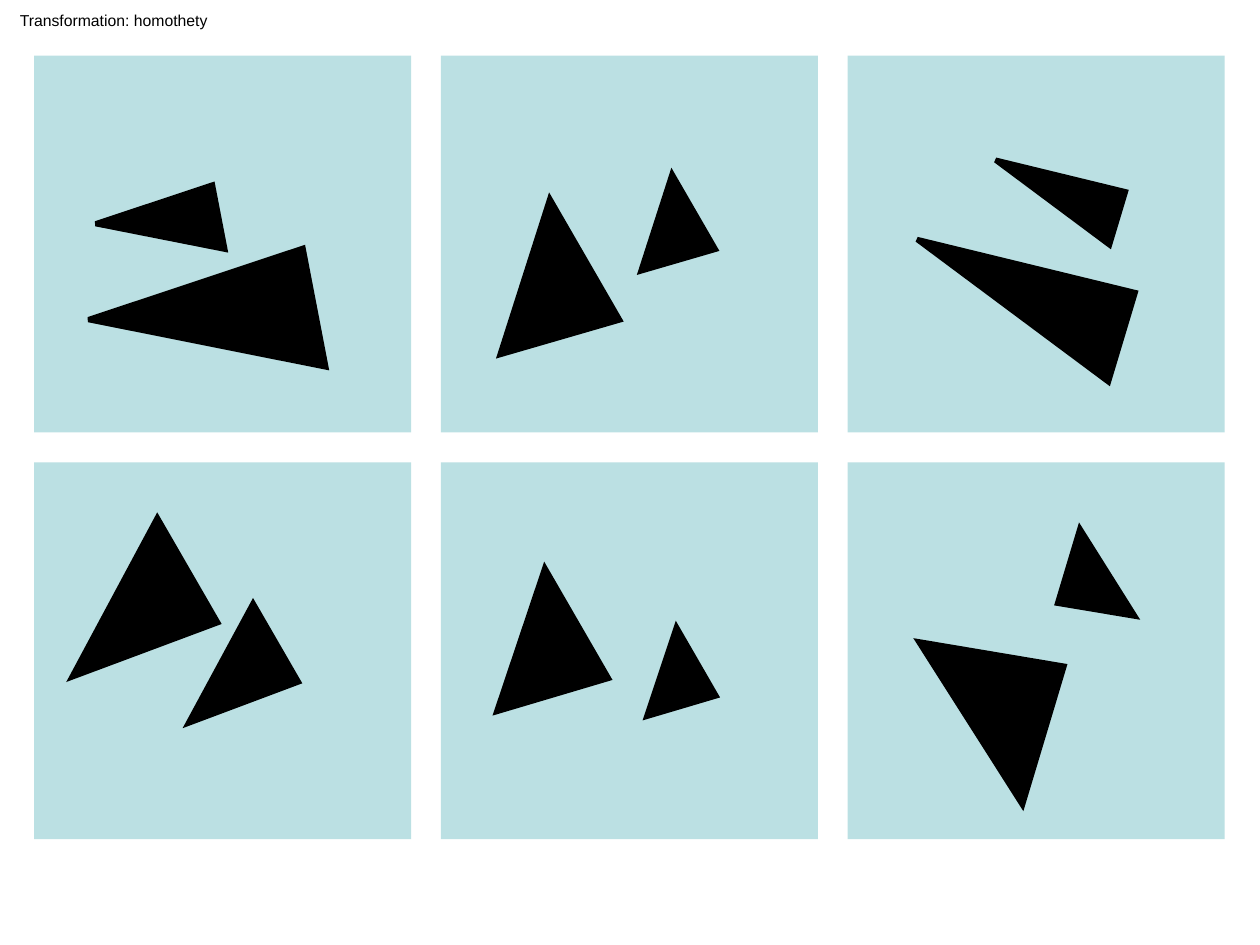
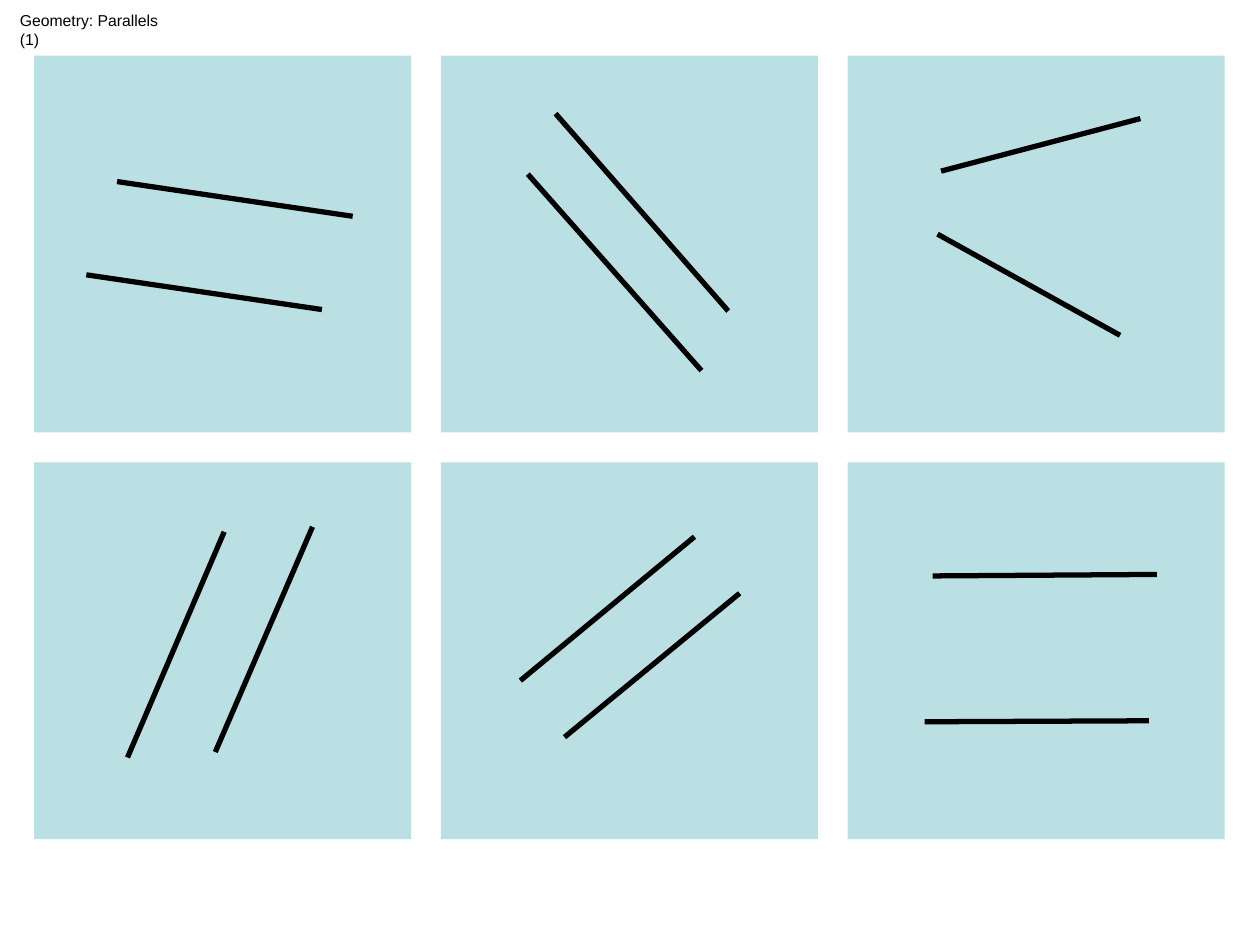
from lxml import etree
from pptx import Presentation
from pptx import util as u
from pptx.dml.color import RGBColor
from pptx.enum import shapes, text
from pptx.oxml.ns import qn

BLACK = "000000"
PANEL_BLUE = "BBE0E3"
FONT = "Arial"
STROKE = u.Pt(3)

PANEL_SIZE = 7.6
PANEL_PITCH = 8.2
PANEL_LEFT, PANEL_TOP = 0.69, 1.12
COLUMNS, ROWS = 3, 2

# rotation, apex position, (left, top, width, height)
TRIANGLES = [
    (259.1, 0.244, (2.9, 4.37, 2.44, 4.52)),
    (259.1, 0.244, (2.54, 3.38, 1.32, 2.46)),
    (240, 0.787, (12.45, 3.89, 1.75, 1.52)),
    (240, 0.787, (9.32, 4.62, 2.82, 2.44)),
    (286.7, 0.127, (19.51, 3.89, 1.88, 4.52)),
    (286.7, 0.127, (20.68, 2.67, 1.12, 2.69)),
    (240, 0.787, (3.63, 12.37, 1.83, 2.34)),
    (240, 0.787, (1.22, 10.72, 2.44, 3.1)),
    (240, 0.787, (12.62, 12.98, 1.6, 1.42)),
    (240, 0.787, (9.35, 11.99, 2.57, 2.29)),
    (286.7, 0.127, (18.16, 12.93, 2.92, 2.95)),
    (106.7, 0.127, (21.51, 10.85, 1.57, 1.57)),
]

SEGMENTS = [
    (2.36, 3.66, 7.11, 4.36),
    (1.74, 5.54, 6.49, 6.24),
    (10.64, 3.51, 14.14, 7.47),
    (11.2, 2.29, 14.68, 6.27),
    (18.97, 3.45, 22.99, 2.39),
    (18.9, 4.72, 22.58, 6.76),
    (2.57, 15.27, 4.52, 10.72),
    (4.34, 15.16, 6.3, 10.62),
    (10.49, 13.72, 14, 10.82),
    (11.38, 14.86, 14.91, 11.96),
    (18.8, 11.61, 23.32, 11.58),
    (18.64, 14.55, 23.16, 14.53),
]


def color(value):
    return RGBColor.from_string(value)


def lengths(values):
    return [u.Cm(value) for value in values]


def add_filled_shape(slide, preset, box, fill):
    shape = slide.shapes.add_shape(preset, *lengths(box))
    shape.shadow.inherit = False
    shape.fill.solid()
    shape.fill.fore_color.rgb = color(fill)
    shape.line.fill.background()
    return shape


def set_stroke(line):
    line.color.rgb = color(BLACK)
    line.width = STROKE


def add_title(slide, title, width):
    box = slide.shapes.add_textbox(*lengths((0.15, 0.1, width, 0.64)))
    frame = box.text_frame
    frame.text = title
    frame.word_wrap = False
    frame.auto_size = text.MSO_AUTO_SIZE.SHAPE_TO_FIT_TEXT
    font = frame.paragraphs[0].runs[0].font
    font.name = FONT
    font.size = u.Pt(9)
    font.color.rgb = color(BLACK)


def add_panels(slide):
    for row in range(ROWS):
        for column in range(COLUMNS):
            left = PANEL_LEFT + column * PANEL_PITCH
            top = PANEL_TOP + row * PANEL_PITCH
            add_filled_shape(slide, shapes.MSO_SHAPE.RECTANGLE,
                             (left, top, PANEL_SIZE, PANEL_SIZE), PANEL_BLUE)


def add_triangle(slide, rotation, apex, box):
    triangle = add_filled_shape(slide, shapes.MSO_SHAPE.ISOSCELES_TRIANGLE, box, BLACK)
    triangle.adjustments[0] = apex
    triangle.rotation = rotation
    set_stroke(triangle.line)
    properties = triangle.element.spPr
    properties.find(qn("a:xfrm")).set("flipH", "1")
    miter = etree.SubElement(properties.find(qn("a:ln")), qn("a:miter"))
    miter.set("lim", "800000")


def add_segment(slide, points):
    segment = slide.shapes.add_connector(shapes.MSO_CONNECTOR.STRAIGHT, *lengths(points))
    set_stroke(segment.line)
    etree.SubElement(segment.element.spPr, qn("a:effectLst"))


def add_panel_slide(presentation, title, title_width):
    slide = presentation.slides.add_slide(presentation.slide_layouts[6])
    add_panels(slide)
    add_title(slide, title, title_width)
    return slide


def main():
    presentation = Presentation()
    presentation.slide_width = u.Cm(25.4)
    presentation.slide_height = u.Cm(19.05)

    homothety = add_panel_slide(presentation, "Transformation: homothety", 4.29)
    for rotation, apex, box in TRIANGLES:
        add_triangle(homothety, rotation, apex, box)

    parallels = add_panel_slide(presentation, "Geometry: Parallels (1)", 3.76)
    for points in SEGMENTS:
        add_segment(parallels, points)

    presentation.save("out.pptx")


if __name__ == "__main__":
    main()
